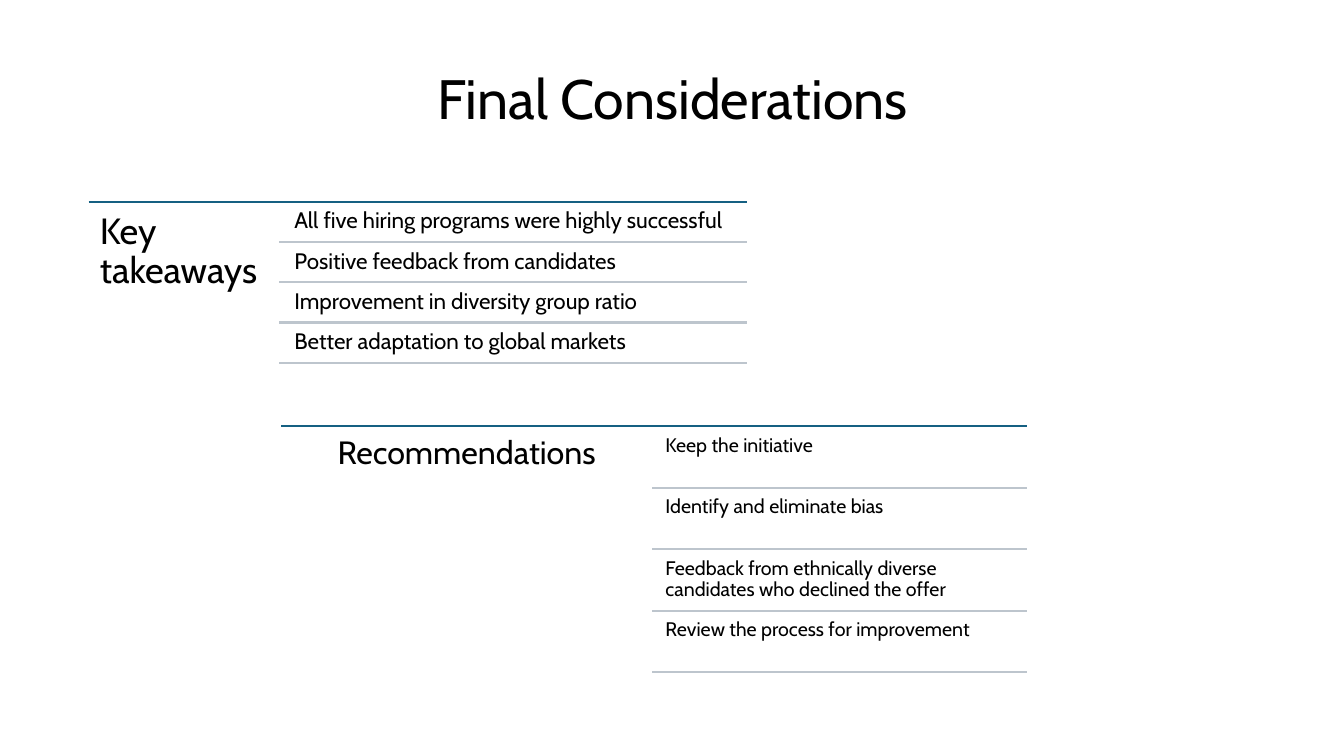
from pptx import Presentation
from pptx import util as u
from pptx.dml.color import RGBColor
from pptx.enum import shapes, text
from pptx.oxml.ns import qn
from lxml import etree

# Content
TITLE = "Final Considerations"
BLOCKS = [
    dict(head="Key takeaways", size=26, align="LEFT", pad=0.11,
         left=0.88, top=2, right=7.41, width=1.89,
         rows=["All five hiring programs were highly successful",
               "Positive feedback from candidates",
               "Improvement in diversity group ratio",
               "Better adaptation to global markets"],
         row_size=16, row_pad=0.07, pitch=0.4, gap=0.01, indent=0.08),
    dict(head="Recommendations", size=23, align="CENTER", pad=0.1,
         left=2.79, top=4.23, right=10.19, width=3.68,
         rows=["Keep the initiative",
               "Identify and eliminate bias",
               "Feedback from ethnically diverse candidates who declined the offer",
               "Review the process for improvement"],
         row_size=14, row_pad=0.06, pitch=0.61, gap=0.03, indent=0.07),
]
FONT, INK, TEAL, GREY = "Cabin", "000000", "156082", "BDC5CD"


def paint(hue):
    return RGBColor.from_string(hue)


def style(para, size, align):
    para.alignment = getattr(text.PP_ALIGN, align)
    para.line_spacing = 0.9
    font = para.font
    font.name, font.size = FONT, u.Pt(size)
    font.color.rgb = paint(INK)


def label(group, words, box, size, pad, align="LEFT"):
    shape = group.shapes.add_textbox(*map(u.Inches, box))
    frame = shape.text_frame
    frame.word_wrap = True
    frame.margin_left = frame.margin_right = u.Inches(pad)
    frame.margin_top = frame.margin_bottom = u.Inches(pad)
    frame.text = words
    style(frame.paragraphs[0], size, align)


def rule(group, left, right, top, hue):
    x1, x2, y = map(u.Inches, (left, right, top))
    line = group.shapes.add_connector(shapes.MSO_CONNECTOR.STRAIGHT, x1, y, x2, y)
    line.line.color.rgb = paint(hue)
    line.line.width = u.Pt(1.5)
    props = line._element.find(qn("p:spPr"))
    etree.SubElement(props, qn("a:effectLst"))


def block(slide, b):
    group = slide.shapes.add_group_shape()
    left, top, right, pitch = b["left"], b["top"], b["right"], b["pitch"]
    tall = pitch * len(b["rows"])

    # Heading under its top rule
    rule(group, left, right, top, TEAL)
    label(group, b["head"], (left, top, b["width"], tall),
          b["size"], b["pad"], b["align"])

    # Rows, each closed by a rule
    start = left + b["width"]
    edge = start + b["indent"]
    for i, words in enumerate(b["rows"]):
        y = top + i * pitch
        label(group, words, (edge, y + b["gap"], right - edge, pitch - b["gap"]),
              b["row_size"], b["row_pad"])
        rule(group, start, right, y + pitch, GREY)


def main():
    deck = Presentation()
    deck.slide_width, deck.slide_height = u.Inches(13.33), u.Inches(7.5)
    slide = deck.slides.add_slide(deck.slide_layouts[5])

    # Title
    title = slide.shapes.title
    title.left, title.top = u.Inches(1.97), u.Inches(0.63)
    title.width, title.height = u.Inches(9.4), u.Inches(0.75)
    title.text = TITLE
    title.text_frame.vertical_anchor = text.MSO_ANCHOR.MIDDLE
    title.text_frame.auto_size = text.MSO_AUTO_SIZE.NONE
    style(title.text_frame.paragraphs[0], 39.6, "CENTER")

    # Two ruled lists
    for b in BLOCKS:
        block(slide, b)
    deck.save("out.pptx")


if __name__ == "__main__":
    main()
